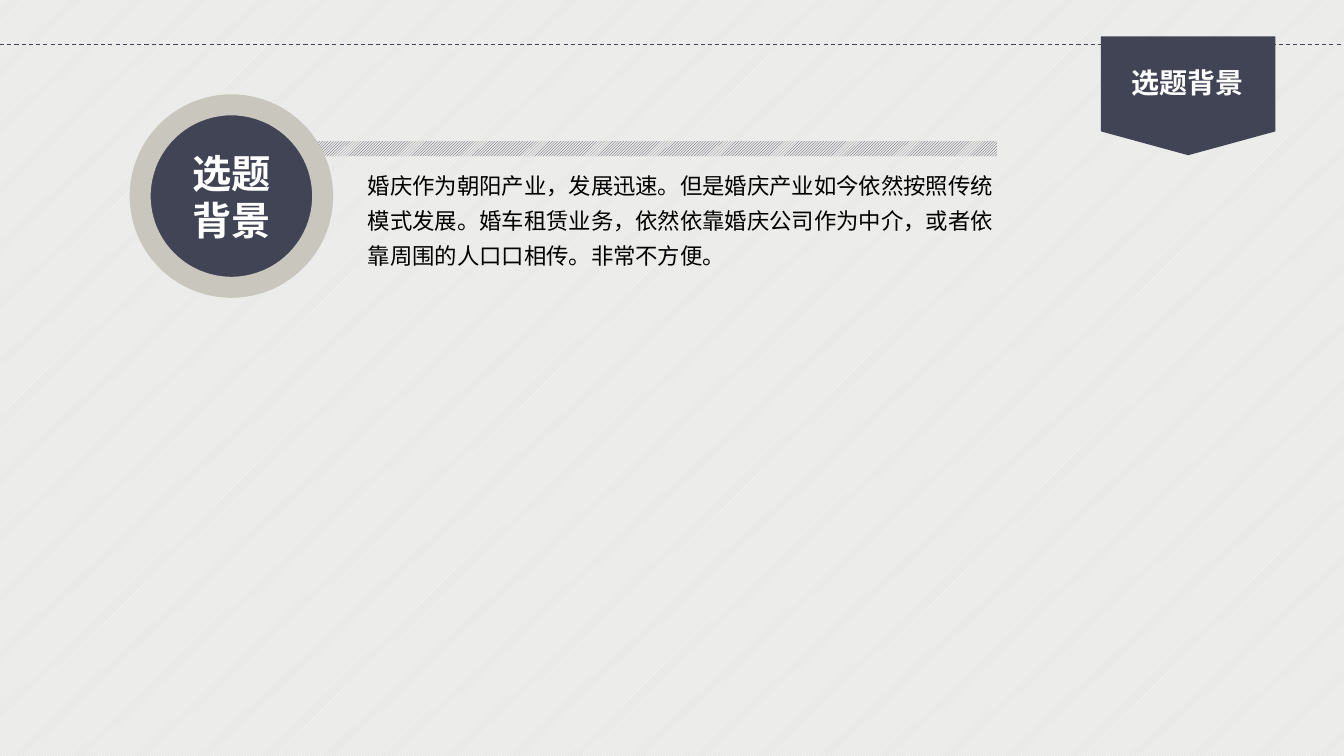
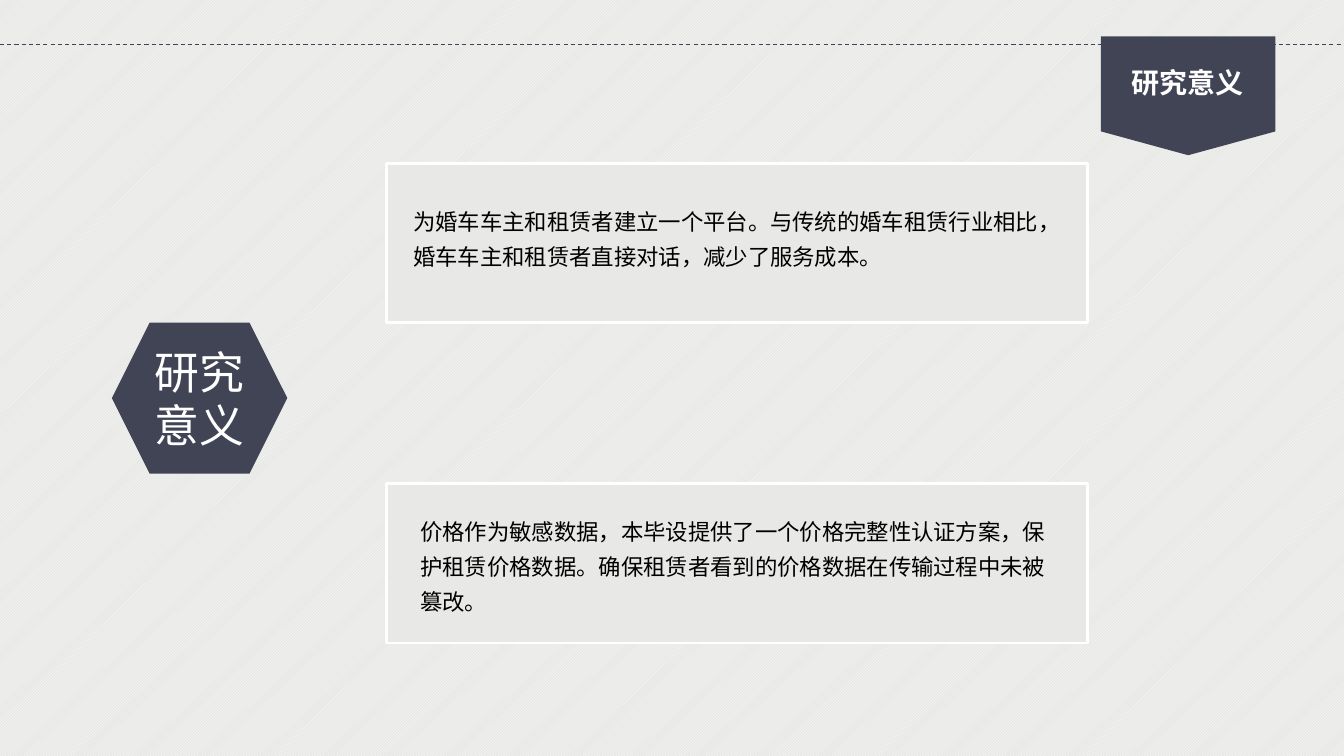
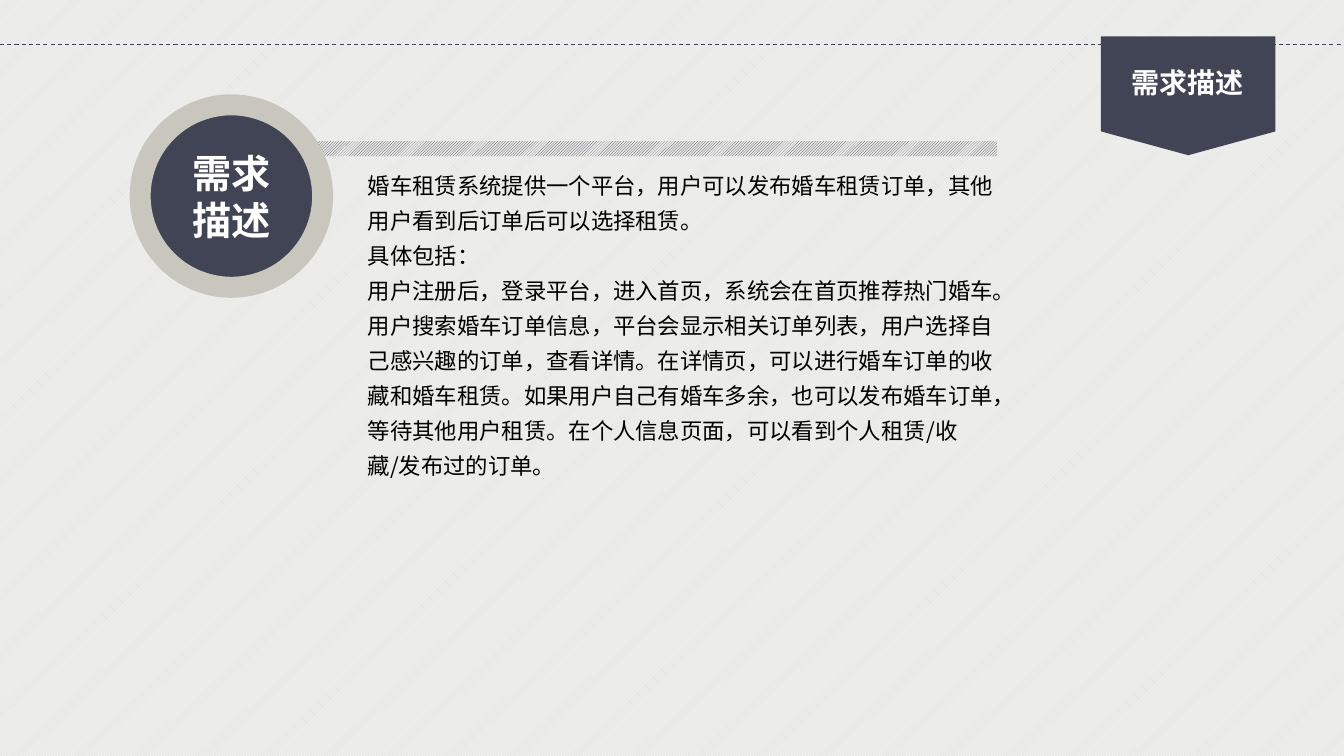
import pptx
import pptx.dml.color
import pptx.enum.dml
import pptx.enum.lang
import pptx.enum.shapes
import pptx.enum.text
import pptx.oxml.ns
import pptx.util
import lxml.etree

SLIDES = [
    {
        "title": "选题背景",
        "layout": "circle",
        "paragraphs": [
            "婚庆作为朝阳产业，发展迅速。但是婚庆产业如今依然按照传统模式发展。婚车租赁业务，依然依靠婚庆公司作为中介，或者依靠周围的人口口相传。非常不方便。",
        ],
    },
    {
        "title": "研究意义",
        "layout": "cards",
        "cards": [
            {
                "text": "为婚车车主和租赁者建立一个平台。与传统的婚车租赁行业相比，婚车车主和租赁者直接对话，减少了服务成本。",
                "offset": (0.17, 0.32),
                "height": 0.8,
            },
            {
                "text": "价格作为敏感数据，本毕设提供了一个价格完整性认证方案，保护租赁价格数据。确保租赁者看到的价格数据在传输过程中未被篡改。",
                "offset": (0.24, 0.21),
                "height": 1.15,
            },
        ],
    },
    {
        "title": "需求描述",
        "layout": "circle",
        "paragraphs": [
            "婚车租赁系统提供一个平台，用户可以发布婚车租赁订单，其他用户看到后订单后可以选择租赁。",
            "具体包括：",
            "用户注册后，登录平台，进入首页，系统会在首页推荐热门婚车。",
            "用户搜索婚车订单信息，平台会显示相关订单列表，用户选择自己感兴趣的订单，查看详情。在详情页，可以进行婚车订单的收藏和婚车租赁。如果用户自己有婚车多余，也可以发布婚车订单，等待其他用户租赁。在个人信息页面，可以看到个人租赁/收藏/发布过的订单。",
        ],
    },
]

COLOURS = {
    "navy": "414455",
    "paper": "E8E8E6",
    "ring": "C8C6BD",
    "white": "FFFFFF",
    "black": "000000",
}
FONT = "Noto Sans CJK SC"
FORMATS = {
    "ribbon": {"size": 20, "bold": True, "colour": "white"},
    "circle": {"size": 28, "bold": True, "colour": "white"},
    "hexagon": {"size": 32, "bold": False, "colour": "white"},
    "body": {"size": 16, "bold": False, "colour": "black"},
}

CELL = pptx.util.Inches(1)
COLUMNS, ROWS = 13.33, 7.5
RULE_ROW = 0.44
RIBBON = (10.92, 0.36, 1.73, 1.18)
RIBBON_TEXT = (11.12, 0.6, 1.32, 0.44)
STRIPE = (3.04, 1.4, 6.85, 0.15)
CIRCLE = (1.39, 1.04, 1.81, 1.81)
HEXAGON = (1.11, 3.2, 1.74, 1.5)
BODY_LEFT, BODY_TOP, BODY_WIDTH = 3.55, 1.58, 6.46
CARD_LEFT, CARD_TOP, CARD_WIDTH, CARD_HEIGHT = 3.83, 1.62, 6.96, 1.58
CARD_STEP, CARD_TEXT_WIDTH = 3.18, 6.61
BODY_LINE, BODY_PADDING = 0.35, 0.1

SHAPES = pptx.enum.shapes.MSO_SHAPE
ALIGN = pptx.enum.text.PP_ALIGN


def colour(name):
    return pptx.dml.color.RGBColor.from_string(COLOURS[name])


def cells(*values):
    return [round(value * CELL) for value in values]


def set_pattern(fill, foreground):
    fill.patterned()
    fill.pattern = pptx.enum.dml.MSO_PATTERN.LIGHT_UPWARD_DIAGONAL
    fill.fore_color.rgb = colour(foreground)
    fill.back_color.rgb = colour("paper")


def write(shape, texts, style, align=ALIGN.LEFT, spacing=None):
    values = FORMATS[style]
    frame = shape.text_frame
    frame.text = "\n".join(texts)
    for paragraph in frame.paragraphs:
        paragraph.alignment = align
        paragraph.line_spacing = spacing
        paragraph._p.get_or_add_pPr().set("hangingPunct", "1")
        font = paragraph.runs[0].font
        settings = {
            "name": FONT,
            "size": pptx.util.Pt(values["size"]),
            "bold": values["bold"],
            "language_id": pptx.enum.lang.MSO_LANGUAGE_ID.SIMPLIFIED_CHINESE,
        }
        for attribute, value in settings.items():
            setattr(font, attribute, value)
        font.color.rgb = colour(values["colour"])
        east_asian = lxml.etree.SubElement(font._element, pptx.oxml.ns.qn("a:ea"))
        east_asian.set("typeface", FONT)


def add_shape(slide, kind, place, fill="navy", line=None, width=0):
    shape = slide.shapes.add_shape(kind, *cells(*place))
    shape.shadow.inherit = False
    shape.fill.solid()
    shape.fill.fore_color.rgb = colour(fill)
    if line:
        shape.line.color.rgb = colour(line)
        shape.line.width = pptx.util.Pt(width)
    else:
        shape.line.fill.background()
    return shape


def add_badge(slide, kind, place, title, style, **outline):
    badge = add_shape(slide, kind, place, **outline)
    badge.text_frame.vertical_anchor = pptx.enum.text.MSO_ANCHOR.MIDDLE
    write(badge, [title], style, ALIGN.CENTER)


def add_text(slide, place, texts, style, wrap=True, spacing=None):
    box = slide.shapes.add_textbox(*cells(*place))
    box.text_frame.word_wrap = wrap
    box.text_frame.auto_size = pptx.enum.text.MSO_AUTO_SIZE.SHAPE_TO_FIT_TEXT
    write(box, texts, style, spacing=spacing)


def add_header(slide, title):
    rule = slide.shapes.add_connector(
        pptx.enum.shapes.MSO_CONNECTOR.STRAIGHT,
        *cells(0, RULE_ROW, COLUMNS, RULE_ROW),
    )
    rule.line.color.rgb = colour("navy")
    rule.line.width = pptx.util.Pt(0.75)
    rule.line.dash_style = pptx.enum.dml.MSO_LINE.DASH
    lxml.etree.SubElement(rule._element.spPr, pptx.oxml.ns.qn("a:effectLst"))
    add_shape(slide, SHAPES.FLOWCHART_OFFPAGE_CONNECTOR, RIBBON)
    add_text(slide, RIBBON_TEXT, [title], "ribbon", wrap=False)


def build_circle(slide, content):
    stripe = add_shape(slide, SHAPES.RECTANGLE, STRIPE)
    set_pattern(stripe.fill, "navy")
    add_header(slide, content["title"])
    add_badge(slide, SHAPES.OVAL, CIRCLE, content["title"], "circle", line="ring", width=15)
    line_count = sum(-(-len(text) // 29) for text in content["paragraphs"])
    place = (BODY_LEFT, BODY_TOP, BODY_WIDTH, line_count * BODY_LINE + BODY_PADDING)
    add_text(slide, place, content["paragraphs"], "body", spacing=1.3)


def build_cards(slide, content):
    add_header(slide, content["title"])
    add_badge(slide, SHAPES.HEXAGON, HEXAGON, content["title"], "hexagon")
    for index, card in enumerate(content["cards"]):
        top = CARD_TOP + index * CARD_STEP
        place = (CARD_LEFT, top, CARD_WIDTH, CARD_HEIGHT)
        add_shape(slide, SHAPES.RECTANGLE, place, "paper", "white", 2)
        right, down = card["offset"]
        text_place = (CARD_LEFT + right, top + down, CARD_TEXT_WIDTH, card["height"])
        add_text(slide, text_place, [card["text"]], "body", spacing=1.3)


BUILDERS = {"circle": build_circle, "cards": build_cards}


def main():
    presentation = pptx.Presentation()
    presentation.slide_width, presentation.slide_height = cells(COLUMNS, ROWS)
    set_pattern(presentation.slide_master.background.fill, "white")
    blank = presentation.slide_layouts[6]
    for content in SLIDES:
        slide = presentation.slides.add_slide(blank)
        BUILDERS[content["layout"]](slide, content)
    presentation.save("out.pptx")


if __name__ == "__main__":
    main()
